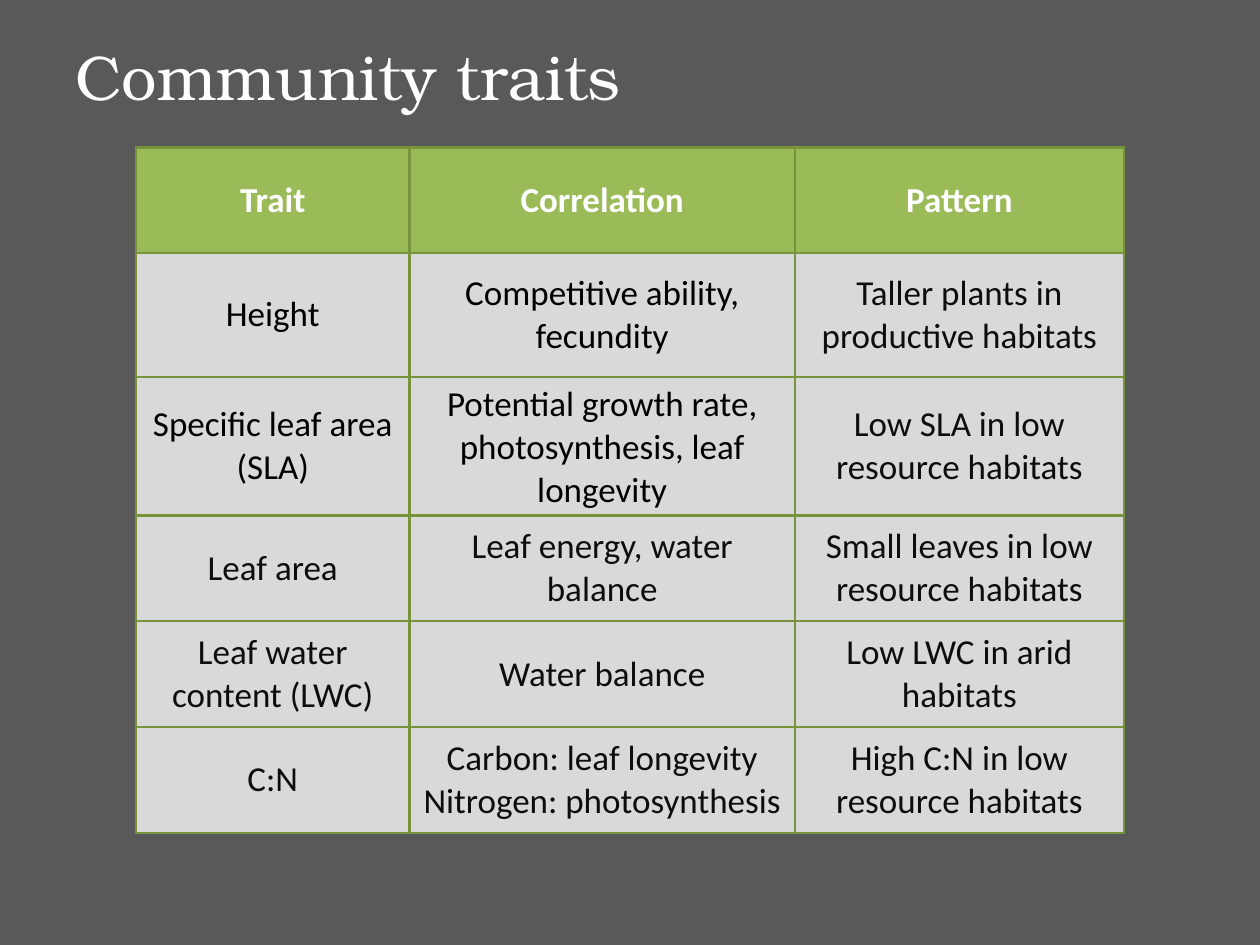
from dataclasses import dataclass
from typing import Any

from lxml import etree
from pptx import Presentation
from pptx.dml.color import RGBColor
from pptx.enum.text import MSO_ANCHOR, MSO_AUTO_SIZE, PP_ALIGN
from pptx.oxml.ns import qn
from pptx.util import Inches, Pt

CENTER = PP_ALIGN.CENTER
MIDDLE = MSO_ANCHOR.MIDDLE
GROW = MSO_AUTO_SIZE.SHAPE_TO_FIT_TEXT

COLUMN_WIDTHS = [2.17, 3.06, 2.61]
ROW_HEIGHTS = [0.84, 0.98, 1.08, 0.84, 0.84, 0.84]
TRAITS = [
    ["Trait", "Correlation", "Pattern"],
    ["Height", "Competitive ability, fecundity", "Taller plants in productive habitats"],
    ["Specific leaf area (SLA)", "Potential growth rate, photosynthesis, leaf longevity",
     "Low SLA in low resource habitats"],
    ["Leaf area", "Leaf energy, water balance", "Small leaves in low resource habitats"],
    ["Leaf water content (LWC)", "Water balance", "Low LWC in arid habitats"],
    ["C:N", "Carbon: leaf longevity\nNitrogen: photosynthesis",
     "High C:N in low resource habitats"],
]


def color(value):
    return RGBColor.from_string(value)


@dataclass
class TraitSlide:
    """Holds the style and the current slide, and adds each kind of element."""
    slide: Any
    background: str = "595959"
    light: str = "FFFFFF"
    black: str = "000000"
    dark: str = "0D0D0D"
    header_fill: str = "9BBB59"
    body_fill: str = "D9D9D9"
    border: str = "77933C"
    title_font: str = "TeX Gyre Bonum"
    table_font: str = "Calibri"

    def paint_background(self):
        fill = self.slide.background.fill
        fill.solid()
        fill.fore_color.rgb = color(self.background)

    def format_text(self, frame, font, size, text_color, bold=False, align=None):
        for para in frame.paragraphs:
            para.alignment = align
            for span in para.runs:
                span.font.name = font
                span.font.size = Pt(size)
                span.font.bold = bold
                span.font.color.rgb = color(text_color)

    def add_title(self, text, left, top, width, height):
        box = self.slide.shapes.add_textbox(
            Inches(left), Inches(top), Inches(width), Inches(height))
        frame = box.text_frame
        frame.word_wrap = True
        frame.auto_size = GROW
        frame.text = text
        self.format_text(frame, self.title_font, 36, self.light)

    def add_borders(self, cell):
        properties = cell._tc.get_or_add_tcPr()
        for position, side in enumerate(("lnL", "lnR", "lnT", "lnB")):
            line = etree.Element(qn(f"a:{side}"), w=str(Pt(1.5)))
            fill = etree.SubElement(line, qn("a:solidFill"))
            etree.SubElement(fill, qn("a:srgbClr"), val=self.border)
            properties.insert(position, line)

    def cell_color(self, row, column):
        if row == 0:
            return self.light
        return self.black if row <= 2 and column <= 1 else self.dark

    def add_table(self, rows, left, top, widths, heights):
        table = self.slide.shapes.add_table(
            len(heights), len(widths), Inches(left), Inches(top),
            Inches(sum(widths)), Inches(sum(heights))).table
        for column, width in zip(table.columns, widths):
            column.width = Inches(width)
        for table_row, height in zip(table.rows, heights):
            table_row.height = Inches(height)
        for row, texts in enumerate(rows):
            for column, text in enumerate(texts):
                cell = table.cell(row, column)
                cell.text_frame.text = text
                cell.vertical_anchor = MIDDLE
                cell.fill.solid()
                cell.fill.fore_color.rgb = color(
                    self.body_fill if row else self.header_fill)
                self.format_text(cell.text_frame, self.table_font, 20,
                                 self.cell_color(row, column), row == 0, CENTER)
                self.add_borders(cell)


def main():
    deck = Presentation()
    deck.slide_width = Inches(10)
    deck.slide_height = Inches(7.5)
    page = TraitSlide(deck.slides.add_slide(deck.slide_layouts[6]))
    page.paint_background()
    page.add_title("Community traits", 0.5, 0.25, 8, 0.71)
    page.add_table(TRAITS, 1.08, 1.17, COLUMN_WIDTHS, ROW_HEIGHTS)
    deck.save("out.pptx")


if __name__ == "__main__":
    main()
